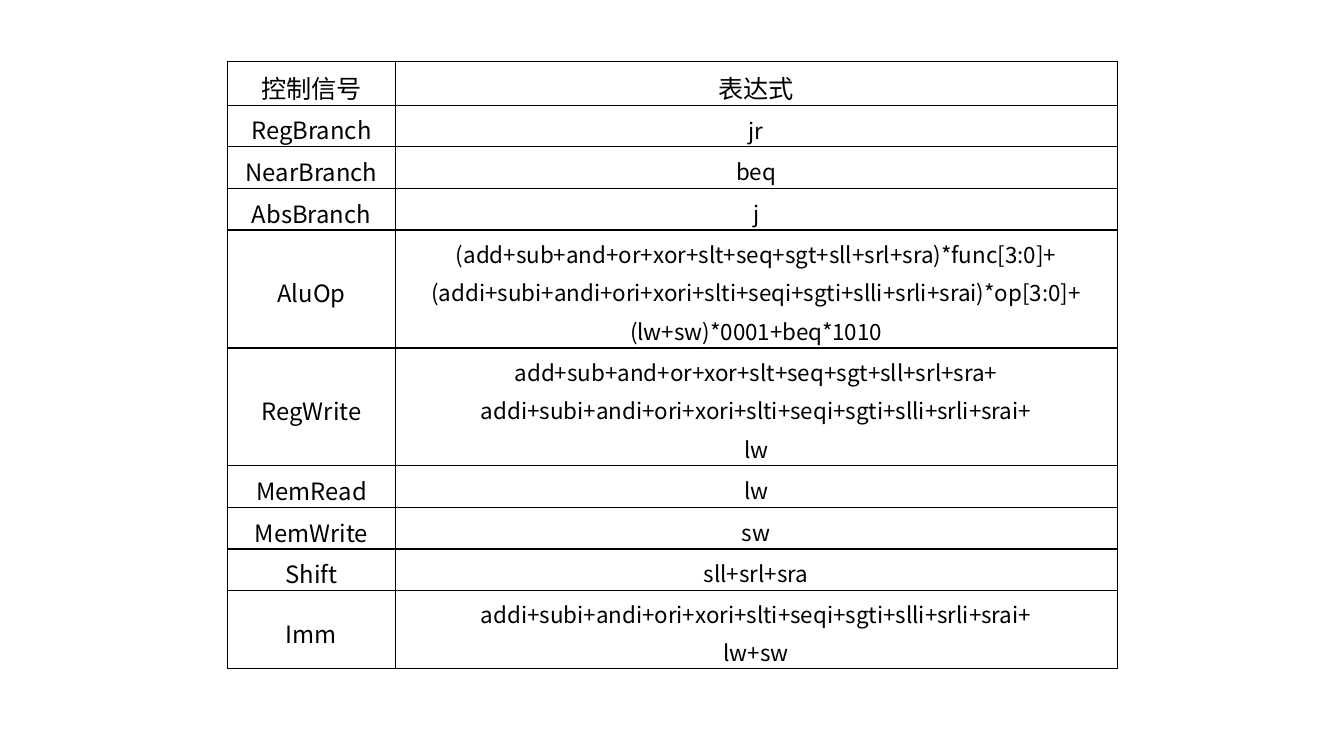
import pptx
import pptx.dml.color
import pptx.enum.text
import pptx.oxml.ns
import pptx.util
from lxml import etree
from pptx.util import Inches

FONT = "Noto Sans CJK SC"
BLACK = "000000"
HEADER_SIZE, SIGNAL_SIZE, EXPRESSION_SIZE = 18, 17, 16
LINE_HEIGHTS = {1: 0.37, 2: 0.77, 3: 1.17}
COLUMN_WIDTHS = (1.66, 7.16)

HEADER = ("控制信号", "表达式")
REGISTER_OPS = "add+sub+and+or+xor+slt+seq+sgt+sll+srl+sra"
IMMEDIATE_OPS = "addi+subi+andi+ori+xori+slti+seqi+sgti+slli+srli+srai"
SIGNALS = [
    ("RegBranch", ["jr"]),
    ("NearBranch", ["beq"]),
    ("AbsBranch", ["j"]),
    ("AluOp", [f"({REGISTER_OPS})*func[3:0]+",
               f"({IMMEDIATE_OPS})*op[3:0]+",
               "(lw+sw)*0001+beq*1010"]),
    ("RegWrite", [f"{REGISTER_OPS}+", f"{IMMEDIATE_OPS}+", "lw"]),
    ("MemRead", ["lw"]),
    ("MemWrite", ["sw"]),
    ("Shift", ["sll+srl+sra"]),
    ("Imm", [f"{IMMEDIATE_OPS}+", "lw+sw"]),
]


def color(hex_string):
    return pptx.dml.color.RGBColor.from_string(hex_string)


def add_span(para, text, size):
    span = para.add_run()
    span.text = text
    span.font.size = pptx.util.Pt(size)
    span.font.color.rgb = color(BLACK)
    span.font.name = FONT
    east_asian = etree.SubElement(span.font._element, pptx.oxml.ns.qn("a:ea"))
    east_asian.set("typeface", FONT)


def add_borders(cell):
    """Draw a thin solid line on all four sides; borders must precede the fill."""
    properties = cell._tc.get_or_add_tcPr()
    for index, side in enumerate(("lnL", "lnR", "lnT", "lnB")):
        line = etree.Element(pptx.oxml.ns.qn(f"a:{side}"), w=str(pptx.util.Pt(1)))
        fill = etree.SubElement(line, pptx.oxml.ns.qn("a:solidFill"))
        etree.SubElement(fill, pptx.oxml.ns.qn("a:srgbClr"), val=BLACK)
        properties.insert(index, line)


def fill_cell(cell, lines, size):
    cell.fill.background()
    add_borders(cell)
    cell.vertical_anchor = pptx.enum.text.MSO_ANCHOR.MIDDLE
    cell.margin_left = cell.margin_right = Inches(0.07)
    cell.margin_top = cell.margin_bottom = 0
    frame = cell.text_frame
    for index, text in enumerate(lines):
        para = frame.add_paragraph() if index else frame.paragraphs[0]
        para.alignment = pptx.enum.text.PP_ALIGN.CENTER
        para.line_spacing = 1.2
        add_span(para, text, size)


def add_signal_table(page):
    frame = page.shapes.add_table(
        len(SIGNALS) + 1, len(HEADER), Inches(2.26), Inches(0.61),
        Inches(sum(COLUMN_WIDTHS)), Inches(5.73))
    table = frame.table
    table.first_row = table.horz_banding = False
    for column, width in zip(table.columns, COLUMN_WIDTHS):
        column.width = Inches(width)
    table.rows[0].height = Inches(LINE_HEIGHTS[1])
    for index, title in enumerate(HEADER):
        fill_cell(table.cell(0, index), [title], HEADER_SIZE)
    for row, (signal, expression) in enumerate(SIGNALS, start=1):
        table.rows[row].height = Inches(LINE_HEIGHTS[len(expression)])
        fill_cell(table.cell(row, 0), [signal], SIGNAL_SIZE)
        fill_cell(table.cell(row, 1), expression, EXPRESSION_SIZE)


def main():
    deck = pptx.Presentation()
    deck.slide_width, deck.slide_height = Inches(13.33), Inches(7.5)
    page = deck.slides.add_slide(deck.slide_layouts[6])
    add_signal_table(page)
    deck.save("out.pptx")


if __name__ == "__main__":
    main()
